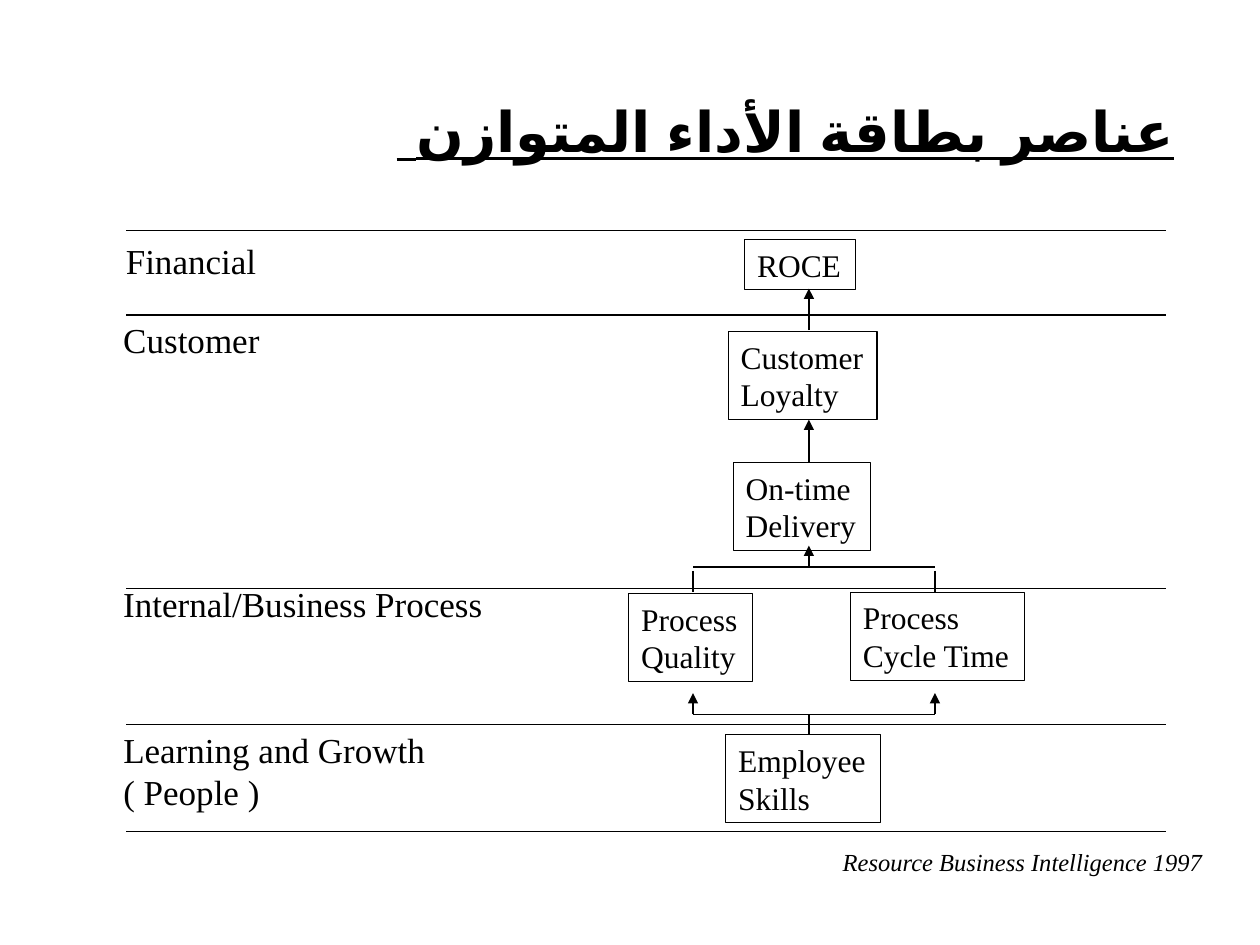
from pptx import Presentation
from pptx.dml.color import RGBColor
from pptx.enum.shapes import MSO_CONNECTOR, MSO_SHAPE
from pptx.enum.text import MSO_ANCHOR, MSO_AUTO_SIZE, PP_ALIGN
from pptx.oxml.ns import qn
from pptx.util import Inches, Pt
from lxml.etree import SubElement

BLACK = RGBColor(0, 0, 0)
LATIN_FONT = "Times New Roman"
TITLE_FONT = "Arial"

# Horizontal positions of the cause-and-effect chain
LEFT_X, CENTER_X, RIGHT_X = 5.5, 6.42, 7.42


def add_run(paragraph, text, size, font=LATIN_FONT, italic=False):
    run = paragraph.add_run()
    run.text = text
    run.font.name = font
    run.font.size = Pt(size)
    run.font.italic = italic
    run.font.color.rgb = BLACK
    return run


def fill_lines(holder, lines, size, italic=False):
    frame = holder.text_frame
    frame.word_wrap = False
    frame.auto_size = MSO_AUTO_SIZE.SHAPE_TO_FIT_TEXT
    frame.vertical_anchor = MSO_ANCHOR.TOP
    for index, line in enumerate(lines):
        paragraph = frame.add_paragraph() if index else frame.paragraphs[0]
        paragraph.alignment = PP_ALIGN.LEFT
        add_run(paragraph, line, size, italic=italic)


def add_label(slide, left, top, width, height, lines, size, italic=False):
    label = slide.shapes.add_textbox(
        Inches(left), Inches(top), Inches(width), Inches(height))
    fill_lines(label, lines, size, italic)


def add_measure(slide, left, top, width, height, lines):
    measure = slide.shapes.add_shape(
        MSO_SHAPE.RECTANGLE,
        Inches(left), Inches(top), Inches(width), Inches(height))
    measure.shadow.inherit = False
    measure.fill.background()
    measure.line.color.rgb = BLACK
    measure.line.width = Pt(0.75)
    fill_lines(measure, lines, 18)


def add_line(slide, x1, y1, x2, y2, arrow=False):
    line = slide.shapes.add_connector(
        MSO_CONNECTOR.STRAIGHT, Inches(x1), Inches(y1), Inches(x2), Inches(y2))
    line.line.color.rgb = BLACK
    line.line.width = Pt(0.75)
    if arrow:
        SubElement(line.line._get_or_add_ln(), qn("a:tailEnd"), type="triangle")
    SubElement(line._element.spPr, qn("a:effectLst"))


def add_title(slide):
    title = slide.shapes.add_textbox(
        Inches(0.92), Inches(0.38), Inches(8.5), Inches(1.21))
    frame = title.text_frame
    frame.word_wrap = True
    frame.vertical_anchor = MSO_ANCHOR.MIDDLE
    paragraph = frame.paragraphs[0]
    paragraph.alignment = PP_ALIGN.RIGHT
    paragraph._p.get_or_add_pPr().set("rtl", "1")
    for text, size in (("عناصر بطاقة الأداء المتوازن", 32), (" ", 40)):
        run = add_run(paragraph, text, size, TITLE_FONT)
        run.font.bold = True
        run.font.underline = True
        properties = run._r.get_or_add_rPr()
        properties.set("lang", "ar-SA")
        SubElement(properties, qn("a:cs"), typeface=TITLE_FONT)


def main():
    deck = Presentation()
    deck.slide_width, deck.slide_height = Inches(10), Inches(7.5)
    slide = deck.slides.add_slide(deck.slide_layouts[6])

    # Title and source note
    add_title(slide)
    add_label(slide, 6.59, 6.67, 3.13, 0.34,
              ["Resource Business Intelligence 1997"], 14, italic=True)

    # Measures, each wide enough to keep its words on one line
    for left, top, width, height, lines in (
        (5.91, 1.9, 0.88, 0.4, ["ROCE"]),
        (5.78, 2.63, 1.18, 0.7, ["Customer", "Loyalty"]),
        (5.82, 3.67, 1.09, 0.7, ["On-time", "Delivery"]),
        (4.99, 4.71, 0.98, 0.7, ["Process", "Quality"]),
        (6.75, 4.7, 1.38, 0.7, ["Process", "Cycle Time"]),
        (5.76, 5.83, 1.23, 0.7, ["Employee", "Skills"]),
    ):
        add_measure(slide, left, top, width, height, lines)

    # Brackets above and below the two process measures
    for y in (5.67, 4.5):
        add_line(slide, LEFT_X, y, RIGHT_X, y)
    for x in (LEFT_X, RIGHT_X):
        add_line(slide, x, 5.67, x, 5.5, arrow=True)
        add_line(slide, x, 4.53, x, 4.7)
    add_line(slide, CENTER_X, 5.67, CENTER_X, 5.83)

    # Arrows up the central chain
    for start, end in ((4.5, 4.33), (3.67, 3.33), (2.62, 2.29)):
        add_line(slide, CENTER_X, start, CENTER_X, end, arrow=True)

    # Perspective dividers
    for y in (1.83, 2.5, 4.67, 5.75, 6.6):
        add_line(slide, 1, y, 9.25, y)

    # Perspective names
    for left, top, width, height, lines in (
        (0.9, 1.85, 1.25, 0.44, ["Financial"]),
        (0.88, 2.48, 1.3, 0.44, ["Customer"]),
        (0.88, 4.57, 3.07, 0.44, ["Internal/Business Process"]),
        (0.88, 5.73, 2.62, 0.77, ["Learning and Growth", "( People )"]),
    ):
        add_label(slide, left, top, width, height, lines, 20)

    deck.save("out.pptx")


if __name__ == "__main__":
    main()
